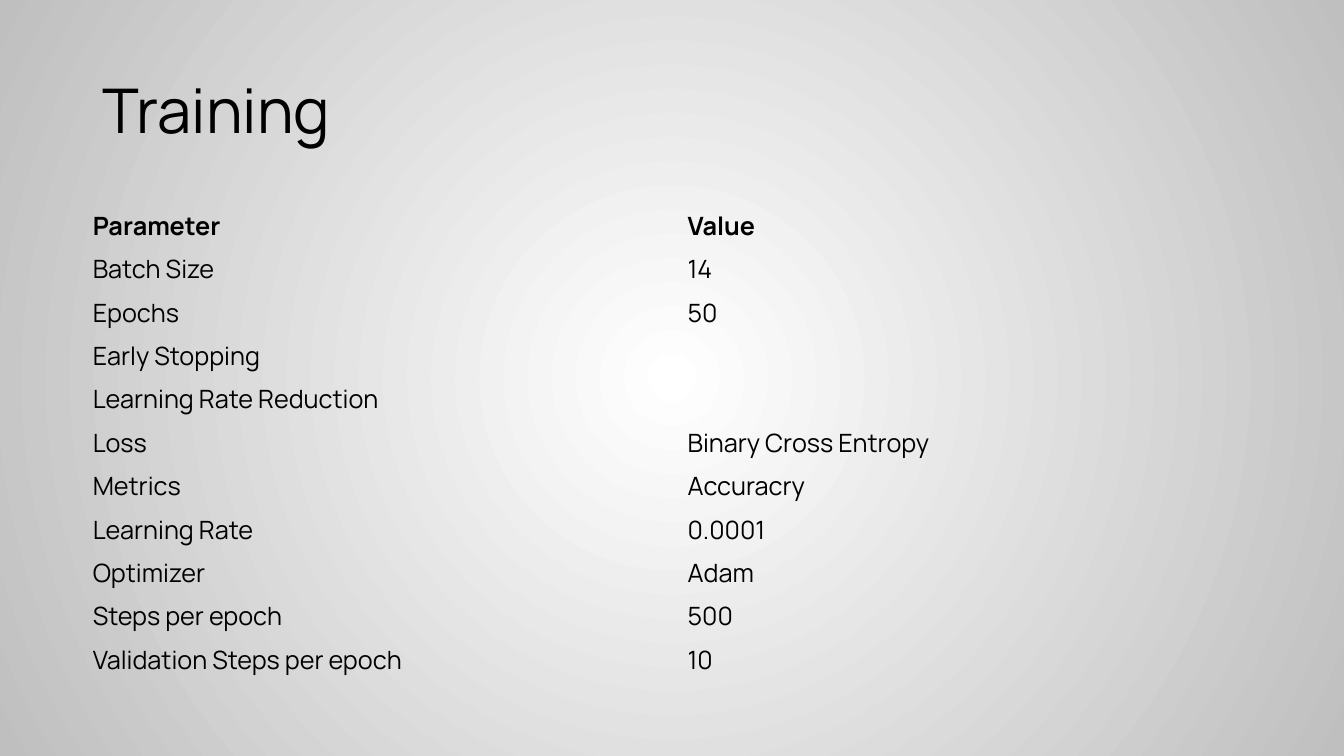
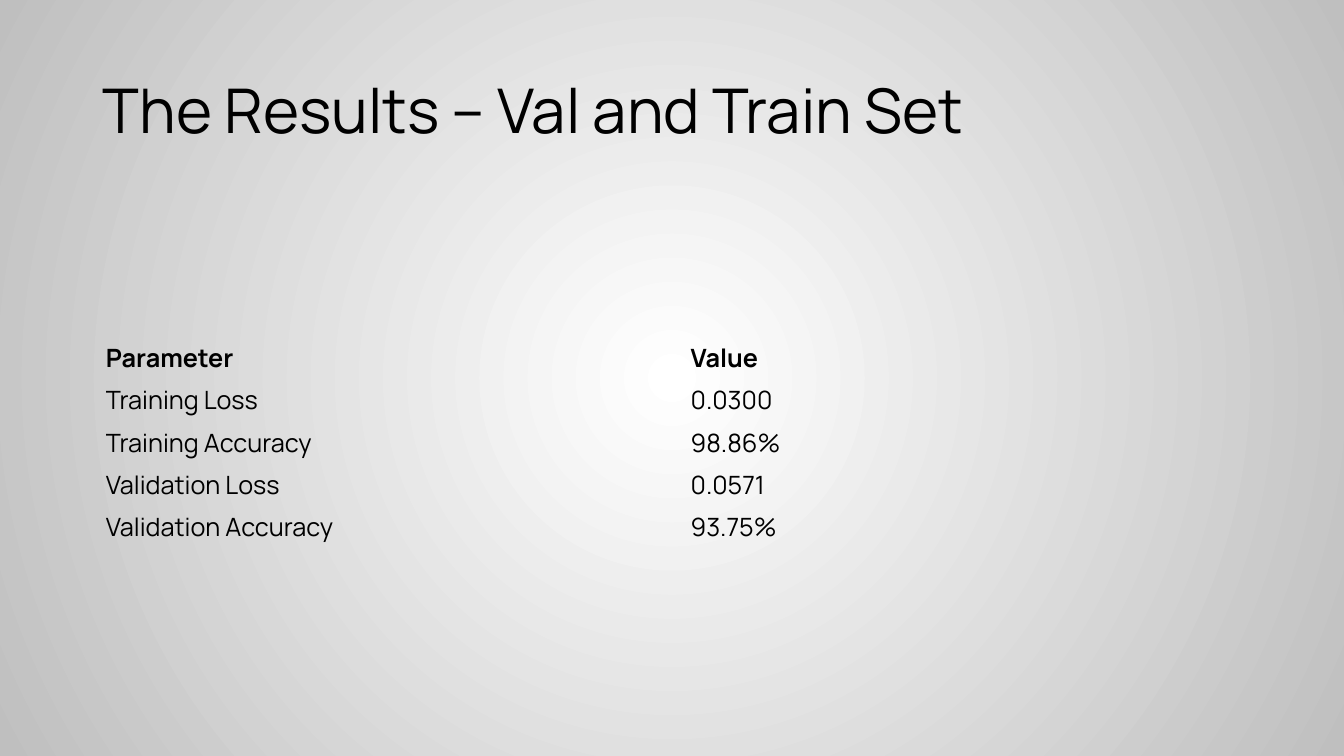
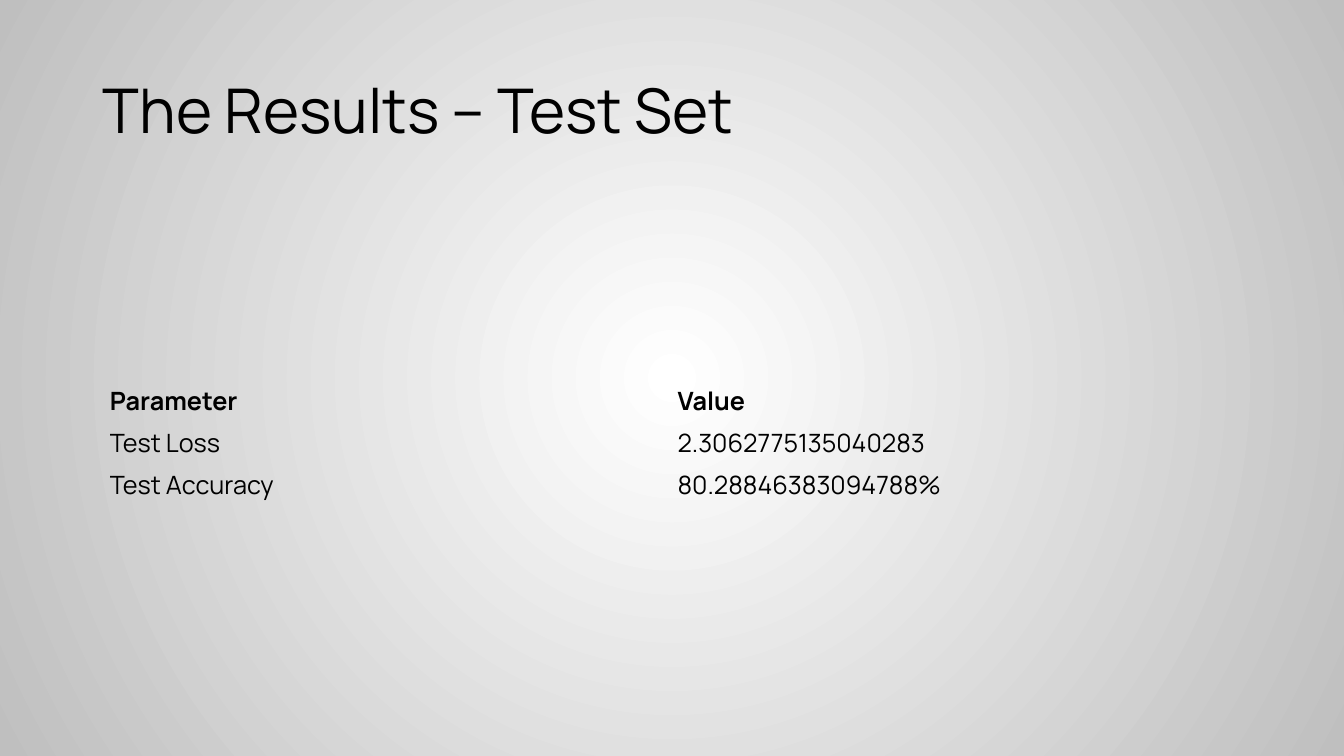
from dataclasses import dataclass

from pptx import Presentation
from pptx.dml.color import RGBColor as Rgb
from pptx.enum.text import MSO_ANCHOR as Anchor, PP_ALIGN as Align
from pptx.oxml import parse_xml
from pptx.oxml.ns import nsdecls, qn
from pptx.presentation import Presentation as Deck
from pptx.slide import Slide, SlideLayout, SlideMaster
from pptx.table import Table, _Cell as Cell
from pptx.text.text import _Paragraph as Paragraph
from pptx.util import Inches, Pt

WIDTH, HEIGHT = Inches(13.33), Inches(7.5)
PLAIN_TABLE_STYLE = "{2D5ABB26-0587-4C30-8999-92F81FD0307C}"
HEADER = ("Parameter", "Value")


@dataclass(frozen=True)
class Theme:
    font: str = "Manrope"
    text: Rgb = Rgb(0x00, 0x00, 0x00)
    centre: Rgb = Rgb(0xFF, 0xFF, 0xFF)
    edge: Rgb = Rgb(0xBF, 0xBF, 0xBF)
    title_size: Pt = Pt(44)
    cell_size: Pt = Pt(18)


THEME = Theme()
TITLE_BOX = {"left": Inches(0.92), "top": Inches(0.4),
             "width": Inches(11.5), "height": Inches(1.45)}
TITLE_PARA = {"alignment": Align.LEFT, "line_spacing": 0.9}
CELL_FORMAT = {"margin_left": Inches(0.15), "margin_right": Inches(0.15),
               "margin_top": 0, "margin_bottom": 0,
               "vertical_anchor": Anchor.TOP}
CELL_PARA = {"alignment": Align.LEFT, "line_spacing": 1.15,
             "space_after": Pt(10)}


@dataclass(frozen=True)
class ParameterSlide:
    """A title and a two-column table; lengths are in inches."""
    title: str
    left: float
    top: float
    columns: tuple[float, float]
    row_height: float
    rows: tuple[tuple[str, str], ...]


SLIDES = (
    ParameterSlide("Training", 0.77, 2.02, (5.9, 5.9), 0.43, (
        ("Batch Size", "14"),
        ("Epochs", "50"),
        ("Early Stopping", ""),
        ("Learning Rate Reduction", ""),
        ("Loss", "Binary Cross Entropy"),
        ("Metrics", "Accuracry"),
        ("Learning Rate", "0.0001"),
        ("Optimizer", "Adam"),
        ("Steps per epoch", "500"),
        ("Validation Steps per epoch", "10"),
    )),
    ParameterSlide("The Results – Val and Train Set", 0.9, 3.33, (5.8, 5.74), 0.42, (
        ("Training Loss", "0.0300"),
        ("Training Accuracy", "98.86%"),
        ("Validation Loss", "0.0571"),
        ("Validation Accuracy", "93.75%"),
    )),
    ParameterSlide("The Results – Test Set", 0.94, 3.75, (5.63, 5.83), 0.42, (
        ("Test Loss", "2.3062775135040283"),
        ("Test Accuracy", "80.28846383094788%"),
    )),
)


def apply_format(target: object, values: dict[str, object]) -> None:
    for name, value in values.items():
        setattr(target, name, value)


def write(para: Paragraph, text: str, size: Pt, bold: bool = False) -> None:
    span = para.add_run()
    span.text = text
    apply_format(span.font, {"name": THEME.font, "size": size, "bold": bold})
    span.font.color.rgb = THEME.text


def paint_background(master: SlideMaster) -> None:
    """Give every slide a gradient that spreads in circles from the middle."""
    fill = master.background.fill
    fill.gradient()
    for stop, colour in zip(fill.gradient_stops, (THEME.centre, THEME.edge)):
        stop.color.rgb = colour
    gradient = master.element.find(".//" + qn("a:gradFill"))
    gradient.remove(gradient.find(qn("a:lin")))
    gradient.append(parse_xml(
        f'<a:path {nsdecls("a")} path="circle">'
        '<a:fillToRect l="50000" t="50000" r="50000" b="50000"/></a:path>'))


def place_title(layout: SlideLayout) -> None:
    title = layout.placeholders[0]
    apply_format(title, TITLE_BOX)
    title.text_frame.vertical_anchor = Anchor.MIDDLE


def fill_cell(cell: Cell, text: str, bold: bool) -> None:
    apply_format(cell, CELL_FORMAT)
    cell.fill.background()
    para = cell.text_frame.paragraphs[0]
    apply_format(para, CELL_PARA)
    if text:
        write(para, text, THEME.cell_size, bold)


def clear_style(table: Table) -> None:
    """Drop the banding and the grid lines of a new table."""
    apply_format(table, {"first_row": False, "horz_banding": False})
    table._tbl.tblPr.find(qn("a:tableStyleId")).text = PLAIN_TABLE_STYLE


def add_parameter_table(page: Slide, content: ParameterSlide) -> None:
    rows = (HEADER, *content.rows)
    table = page.shapes.add_table(
        len(rows), len(HEADER), Inches(content.left), Inches(content.top),
        Inches(sum(content.columns)), Inches(content.row_height * len(rows))).table
    clear_style(table)
    for column, width in zip(table.columns, content.columns):
        column.width = Inches(width)
    for row_index, row in enumerate(rows):
        table.rows[row_index].height = Inches(content.row_height)
        for column_index, text in enumerate(row):
            fill_cell(table.cell(row_index, column_index), text, bold=row_index == 0)


def add_page(deck: Deck, layout: SlideLayout, content: ParameterSlide) -> None:
    page = deck.slides.add_slide(layout)
    para = page.shapes.title.text_frame.paragraphs[0]
    apply_format(para, TITLE_PARA)
    write(para, content.title, THEME.title_size)
    add_parameter_table(page, content)


def main() -> None:
    deck = Presentation()
    apply_format(deck, {"slide_width": WIDTH, "slide_height": HEIGHT})
    paint_background(deck.slide_master)
    title_only = deck.slide_layouts.get_by_name("Title Only")
    place_title(title_only)
    for content in SLIDES:
        add_page(deck, title_only, content)
    deck.save("out.pptx")


if __name__ == "__main__":
    main()
